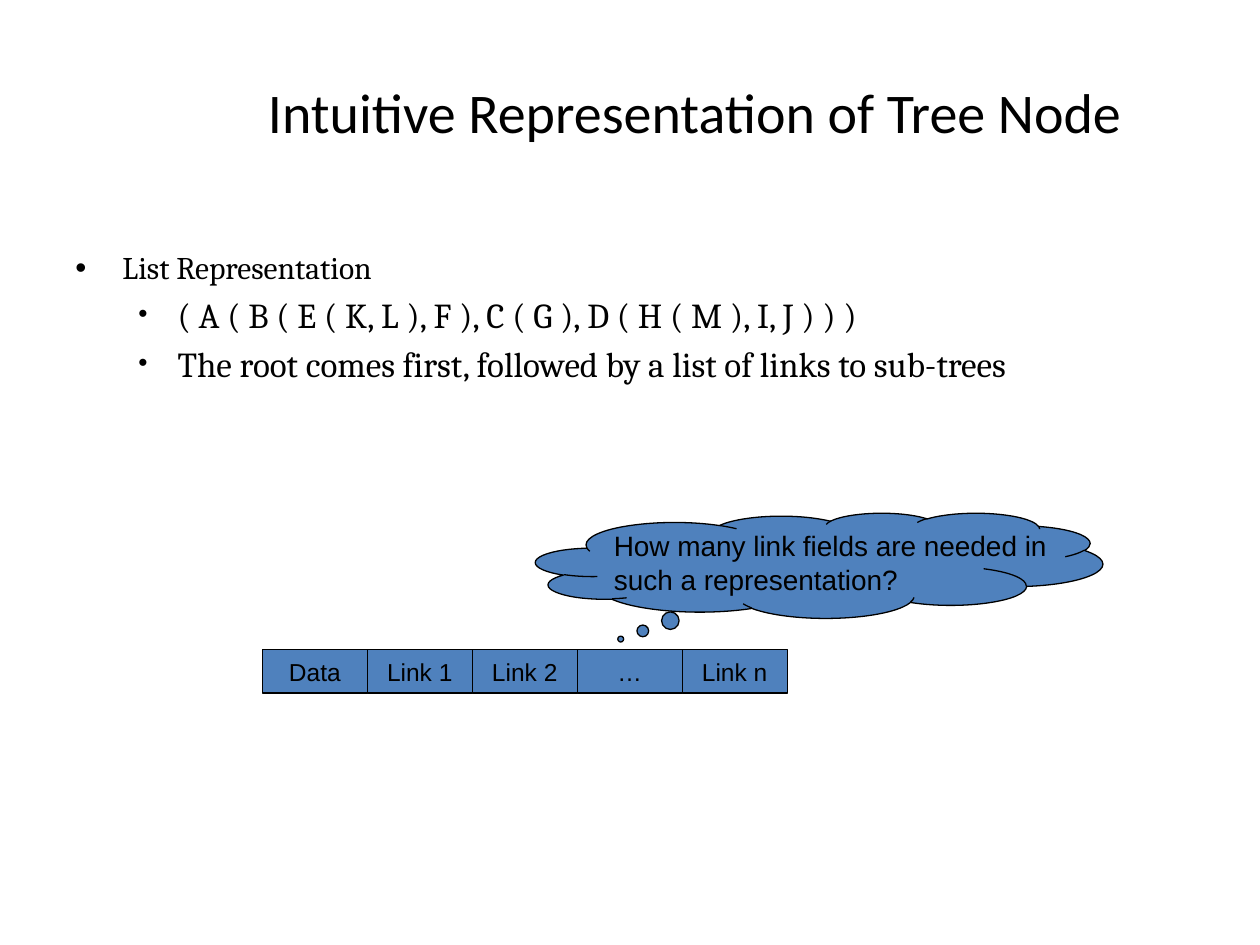
from dataclasses import dataclass

from lxml import etree
from pptx import Presentation
from pptx.dml.color import RGBColor
from pptx.enum.shapes import MSO_SHAPE
from pptx.enum.text import MSO_ANCHOR, PP_ALIGN
from pptx.oxml.ns import qn
from pptx.util import Cm, Pt

RECT, CLOUD = MSO_SHAPE.RECTANGLE, MSO_SHAPE.CLOUD_CALLOUT
TOP, MIDDLE = MSO_ANCHOR.TOP, MSO_ANCHOR.MIDDLE
LEFT, CENTER = PP_ALIGN.LEFT, PP_ALIGN.CENTER
TITLE_ONLY = 5


@dataclass(frozen=True)
class Theme:
    ink: RGBColor = RGBColor(0, 0, 0)
    fill: RGBColor = RGBColor(0x4F, 0x81, 0xBD)
    head: str = "Calibri"
    body: str = "Cambria"
    label: str = "Arial"
    head_size: int = 32
    item_size: int = 18
    sub_size: int = 20
    cell_size: int = 14
    cloud_size: int = 16
    line: float = 0.75


THEME = Theme()


@dataclass(frozen=True)
class Box:
    """A region in centimetres."""
    x: float
    y: float
    w: float
    h: float

    def lengths(self):
        return Cm(self.x), Cm(self.y), Cm(self.w), Cm(self.h)


def style(para, face, size, align=LEFT):
    para.alignment = align
    for run in para.runs:
        run.font.name = face
        run.font.size = Pt(size)
        run.font.color.rgb = THEME.ink


def add_bullet(para, left, hang, scale):
    """Give a hanging bullet; left and hang in cm, scale in percent."""
    props = para._p.get_or_add_pPr()
    props.set("marL", str(Cm(left)))
    props.set("indent", str(-Cm(hang)))
    etree.SubElement(props, qn("a:buSzPct"), val=str(scale * 1000))
    etree.SubElement(props, qn("a:buFont"), typeface=THEME.label)
    etree.SubElement(props, qn("a:buChar"), char="•")


def add_filled(shapes, kind, box, text, size, align, anchor):
    shape = shapes.add_shape(kind, *box.lengths())
    shape.shadow.inherit = False
    shape.fill.solid()
    shape.fill.fore_color.rgb = THEME.fill
    shape.line.color.rgb = THEME.ink
    shape.line.width = Pt(THEME.line)
    frame = shape.text_frame
    frame.text = text
    frame.vertical_anchor = anchor
    for para in frame.paragraphs:
        style(para, THEME.label, size, align)
    return shape


def set_title(slide, box, text):
    title = slide.shapes.title
    title.left, title.top, title.width, title.height = box.lengths()
    frame = title.text_frame
    frame.text = text
    frame.vertical_anchor = MIDDLE
    style(frame.paragraphs[0], THEME.head, THEME.head_size, CENTER)


def add_points(slide, box, items):
    """Place (level, text) items as a bulleted list."""
    frame = slide.shapes.add_textbox(*box.lengths()).text_frame
    frame.word_wrap = True
    frame.text = "\n".join(text for _, text in items)
    looks = [(0.95, 0.95, 100, THEME.item_size),
             (2.06, 0.79, 75, THEME.sub_size)]
    for i, (para, (level, _)) in enumerate(zip(frame.paragraphs, items)):
        left, hang, scale, size = looks[level]
        para.level = level
        if i:
            para.space_before = Pt(size * 0.2)
        add_bullet(para, left, hang, scale)
        style(para, THEME.body, size)


def add_node(slide, box, fields):
    """Draw a tree node as a row of equal fields."""
    group = slide.shapes.add_group_shape()
    wide = box.w / len(fields)
    for i, text in enumerate(fields):
        cell = Box(box.x + i * wide, box.y, wide, box.h)
        add_filled(group.shapes, RECT, cell, text, THEME.cell_size,
                   CENTER, MIDDLE)


def add_thought(slide, box, text):
    cloud = add_filled(slide.shapes, CLOUD, box, text, THEME.cloud_size,
                       LEFT, TOP)
    cloud.adjustments[0], cloud.adjustments[1] = -0.35, 0.7
    frame = cloud.text_frame
    frame.word_wrap = False
    frame.margin_left = frame.margin_right = 0
    frame.margin_top = frame.margin_bottom = 0


def main():
    deck = Presentation()
    deck.slide_width, deck.slide_height = Cm(25.4), Cm(19.05)
    slide = deck.slides.add_slide(deck.slide_layouts[TITLE_ONLY])
    set_title(slide, Box(3.61, 1.27, 20.8, 1.93),
              "Intuitive Representation of Tree Node")
    add_points(slide, Box(1.27, 4.88, 21.59, 11.43), [
        (0, "List Representation"),
        (1, "( A ( B ( E ( K, L ), F ), C ( G ), D ( H ( M ), I, J ) ) )"),
        (1, "The root comes first, followed by a list of links to sub-trees"),
    ])
    add_node(slide, Box(5.29, 13.1, 10.58, 0.87),
             ["Data", "Link 1", "Link 2", "…", "Link n"])
    add_thought(slide, Box(10.8, 10.34, 11.43, 2.12),
                "How many link fields are needed in\nsuch a representation?")
    deck.save("out.pptx")


if __name__ == "__main__":
    main()
